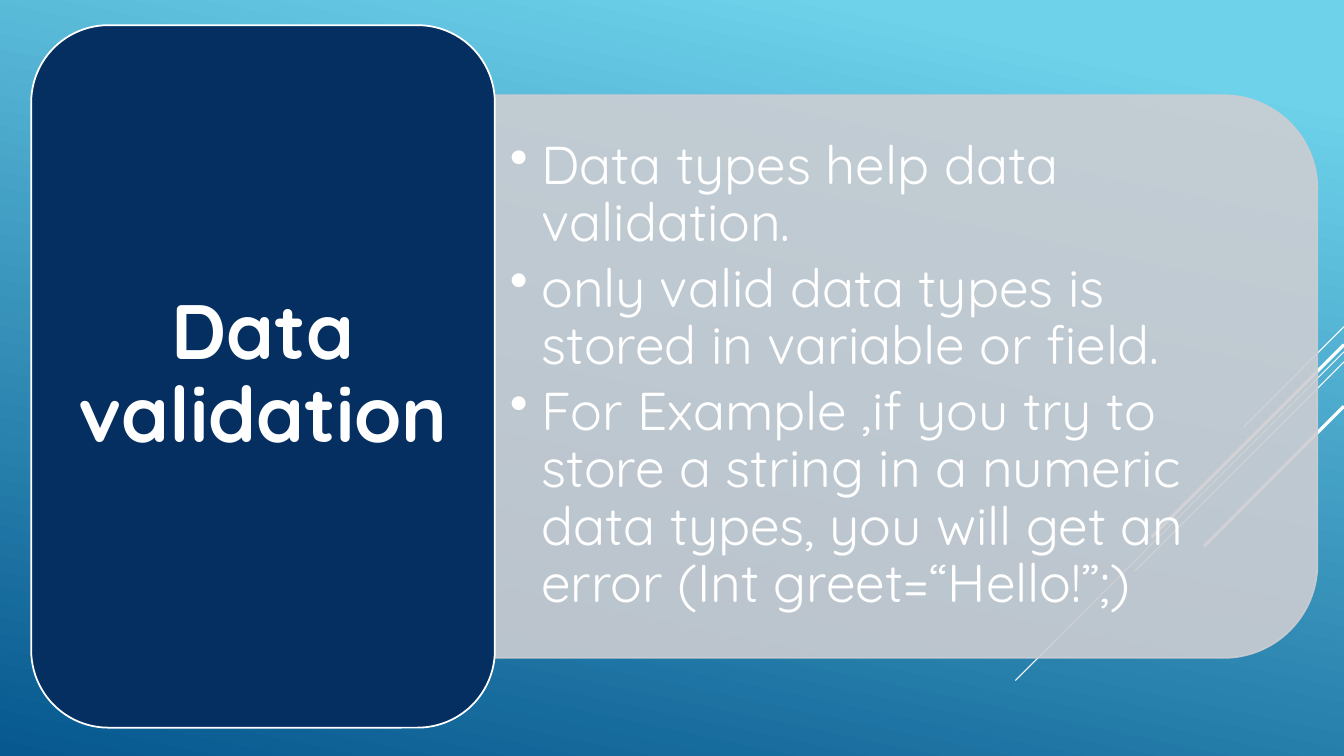
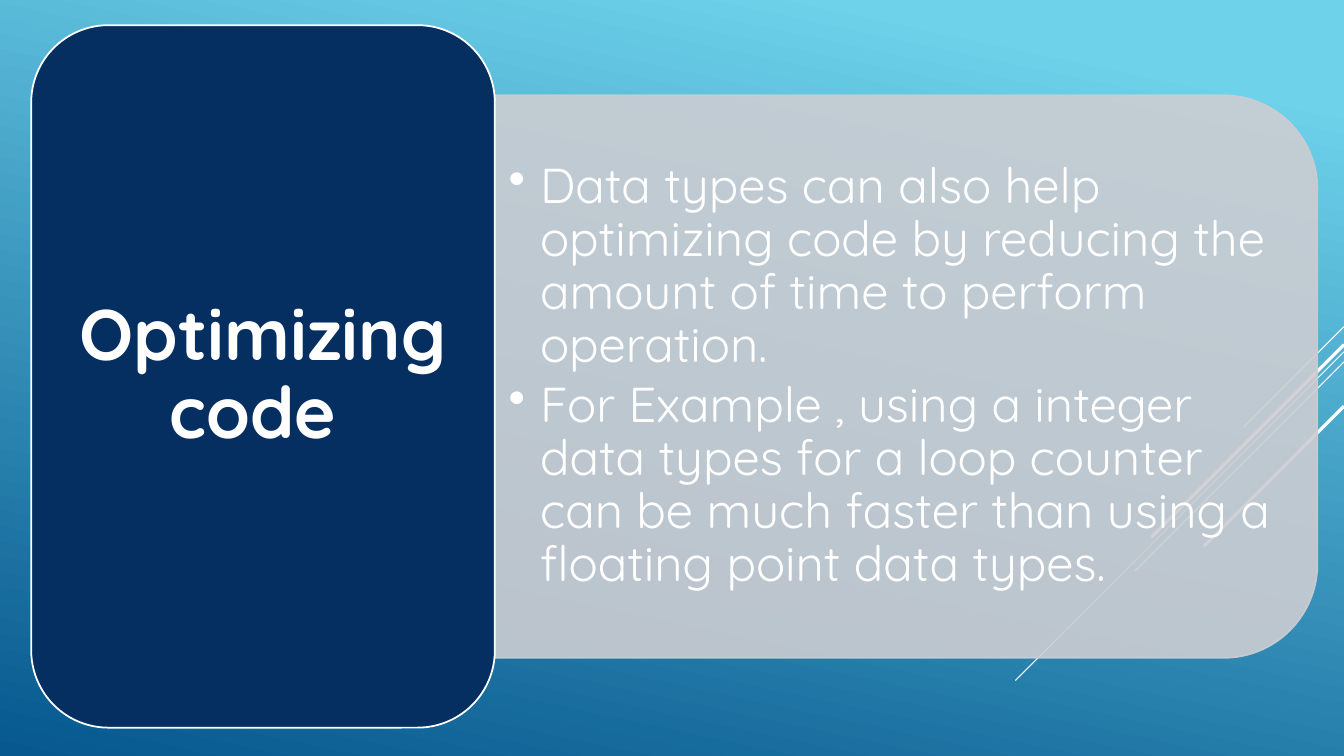
from dataclasses import dataclass

from lxml.etree import SubElement
from pptx import Presentation
from pptx.dml.color import RGBColor
from pptx.enum.shapes import MSO_CONNECTOR, MSO_SHAPE
from pptx.enum.text import MSO_ANCHOR, PP_ALIGN
from pptx.oxml.ns import qn
from pptx.shapes.autoshape import Shape
from pptx.slide import Slide
from pptx.util import Pt

COLORS = {
    "sky": "6ED2EB",
    "deep": "06588E",
    "navy": "052F61",
    "mist": "CCCDD2",
    "white": "FFFFFF",
}
FONT = "Quicksand"
PAGE_WIDTH, PAGE_HEIGHT = 960, 540
OUTLINE = 1.25
BULLET_INDENT = 22.5


@dataclass(frozen=True)
class Box:
    left: float
    top: float
    width: float
    height: float

    def turned(self) -> "Box":
        """Return the frame that covers this box after a quarter turn."""
        shift = (self.width - self.height) / 2
        return Box(self.left + shift, self.top - shift, self.height, self.width)

    def lengths(self) -> tuple[Pt, Pt, Pt, Pt]:
        return Pt(self.left), Pt(self.top), Pt(self.width), Pt(self.height)


@dataclass(frozen=True)
class Ray:
    """A 45 degree line that runs down and left from the right page edge."""
    top: float
    run: float
    weight: float


@dataclass(frozen=True)
class Topic:
    title: str
    title_size: int
    points: tuple[str, ...]
    point_size: int


CARD = Box(22.3, 18, 331.2, 501.8)
PANEL = Box(352.8, 68.1, 588.2, 401.8)
POINTS = Box(352.8, 87.8, 568.8, 362.2)

RAYS = (
    Ray(233.3, 72, 0.75),
    Ray(251.3, 234.7, 0.75),
    Ray(258.5, 149.2, 0.75),
    Ray(246.2, 137.5, 2.25),
    Ray(290.2, 100, 2.25),
)

TOPICS = (
    Topic("Data validation ", 55, (
        "Data types help data validation.",
        "only valid data types is stored in variable or field.",
        "For Example ,if you try to store a string in a numeric data types, "
        "you will get an error (Int greet=“Hello!”;)",
    ), 38),
    Topic("Optimizing code ", 51, (
        "Data types can also help optimizing code by reducing the amount of "
        "time to perform operation.",
        "For Example , using a integer data types for a loop counter can be "
        "much faster than using a floating point data types.",
    ), 35),
)


def rgb(name: str) -> RGBColor:
    return RGBColor.from_string(COLORS[name])


def paint_background(page: Slide) -> None:
    fill = page.background.fill
    fill.gradient()
    fill.gradient_angle = 258
    for stop, position, name in zip(fill.gradient_stops, (0.1, 1), ("sky", "deep")):
        stop.position = position
        stop.color.rgb = rgb(name)


def add_ray(page: Slide, ray: Ray) -> None:
    line = page.shapes.add_connector(
        MSO_CONNECTOR.STRAIGHT, Pt(PAGE_WIDTH), Pt(ray.top),
        Pt(PAGE_WIDTH - ray.run), Pt(ray.top + ray.run))
    line.line.color.rgb = rgb("white")
    line.line.width = Pt(ray.weight)
    SubElement(line._element.spPr, qn("a:effectLst"))


def add_block(page: Slide, kind: MSO_SHAPE, box: Box, fill: str, outline: str) -> Shape:
    block = page.shapes.add_shape(kind, *box.lengths())
    block.shadow.inherit = False
    block.fill.solid()
    block.fill.fore_color.rgb = rgb(fill)
    block.line.color.rgb = rgb(outline)
    block.line.width = Pt(OUTLINE)
    return block


def set_opacity(shape: Shape, percent: int) -> None:
    """Apply one opacity to both the fill and the outline."""
    for color in shape._element.spPr.iter(qn("a:srgbClr")):
        SubElement(color, qn("a:alpha"), val=str(percent * 1000))


def write_text(shape: Shape, texts: tuple[str, ...], *, size: int,
               bold: bool = False, align: PP_ALIGN = PP_ALIGN.LEFT,
               gap: float = 0, bullet: str = "") -> None:
    """Fill a shape with paragraphs; margins and gaps follow the text size."""
    frame = shape.text_frame
    frame.word_wrap = True
    frame.vertical_anchor = MSO_ANCHOR.MIDDLE
    frame.margin_left = frame.margin_right = Pt(size * 0.3)
    frame.margin_top = frame.margin_bottom = Pt(size * 0.15)
    for index, text in enumerate(texts):
        para = frame.add_paragraph() if index else frame.paragraphs[0]
        para.alignment = align
        para.line_spacing = 0.9
        para.space_after = Pt(size * gap)
        if bullet:
            para.level = 1
            properties = para._p.get_or_add_pPr()
            properties.set("marL", str(Pt(BULLET_INDENT)))
            properties.set("indent", str(-Pt(BULLET_INDENT)))
            SubElement(properties, qn("a:buChar"), char=bullet)
        span = para.add_run()
        span.text = text
        span.font.name = FONT
        span.font.size = Pt(size)
        span.font.bold = bold
        span.font.color.rgb = rgb("white")


def add_topic(page: Slide, topic: Topic) -> None:
    paint_background(page)
    for ray in RAYS:
        add_ray(page, ray)

    panel = add_block(page, MSO_SHAPE.ROUND_2_SAME_RECTANGLE, PANEL.turned(),
                      "mist", "mist")
    panel.rotation = 90
    set_opacity(panel, 90)

    points = page.shapes.add_textbox(*POINTS.lengths())
    write_text(points, topic.points, size=topic.point_size, gap=0.15, bullet="•")

    card = add_block(page, MSO_SHAPE.ROUNDED_RECTANGLE, CARD, "navy", "white")
    write_text(card, (topic.title,), size=topic.title_size, bold=True,
               align=PP_ALIGN.CENTER, gap=0.35)


def main() -> None:
    deck = Presentation()
    deck.slide_width, deck.slide_height = Pt(PAGE_WIDTH), Pt(PAGE_HEIGHT)
    blank = deck.slide_layouts[6]
    for topic in TOPICS:
        add_topic(deck.slides.add_slide(blank), topic)
    deck.save("out.pptx")


if __name__ == "__main__":
    main()
